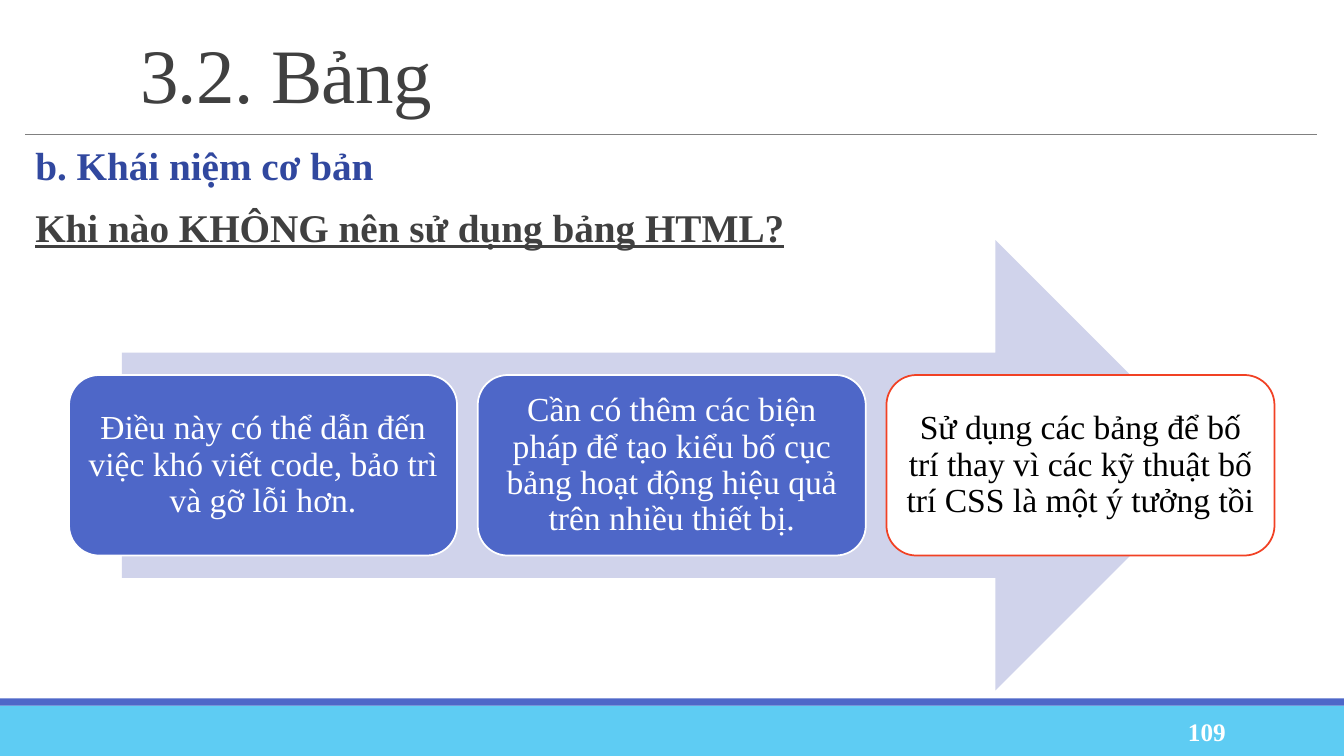
from dataclasses import dataclass

from lxml.etree import SubElement
from pptx import Presentation
from pptx.dml.color import RGBColor as Rgb
from pptx.enum.shapes import MSO_CONNECTOR as Link, MSO_SHAPE as Kind
from pptx.enum.text import MSO_ANCHOR as Anchor, MSO_AUTO_SIZE as Fit, PP_ALIGN as Align
from pptx.oxml.ns import qn
from pptx.util import Cm, Pt

FONT = "Times New Roman"
COLOR = {
    "blue": "4E67C8",
    "sky": "5ECCF3",
    "navy": "31489F",
    "pale": "D0D3EB",
    "dark": "404040",
    "gray": "808080",
    "red": "F14124",
    "white": "FFFFFF",
    "black": "000000",
}


@dataclass
class Box:
    left: float
    top: float
    width: float
    height: float

    def spots(self) -> list:
        return [Cm(n) for n in (self.left, self.top, self.width, self.height)]


@dataclass
class Card:
    text: str
    fill: str = "blue"
    edge: str = "white"
    ink: str = "white"


@dataclass
class Head:
    text: str
    ink: str
    before: float
    under: bool


CARDS = [
    Card("Điều này có thể dẫn đến việc khó viết code, bảo trì và gỡ lỗi hơn."),
    Card("Cần có thêm các biện pháp để tạo kiểu bố cục bảng hoạt động hiệu quả trên nhiều thiết bị."),
    Card("Sử dụng các bảng để bố trí thay vì các kỹ thuật bố trí CSS là một ý tưởng tồi",
         "white", "red", "black"),
]
HEADS = [
    Head("b. Khái niệm cơ bản", "navy", 0, False),
    Head("Khi nào KHÔNG nên sử dụng bảng HTML?", "dark", 12, True),
]
START, PITCH = 1.74, 10.3


def tint(name: str) -> Rgb:
    return Rgb.from_string(COLOR[name])


def style(para, size: float, ink: str, bold: bool = False) -> None:
    font = para.font
    font.name, font.size, font.bold = FONT, Pt(size), bold
    font.color.rgb = tint(ink)


def place(item, box: Box) -> None:
    item.left, item.top, item.width, item.height = box.spots()


def draw(slide, kind: Kind, box: Box, fill: str):
    shape = slide.shapes.add_shape(kind, *box.spots())
    shape.shadow.inherit = False
    shape.fill.solid()
    shape.fill.fore_color.rgb = tint(fill)
    shape.line.fill.background()
    return shape


def add_rule(slide) -> None:
    rule = slide.shapes.add_connector(Link.STRAIGHT, Cm(0.64), Cm(3.38), Cm(33.2), Cm(3.38))
    rule.line.color.rgb = tint("gray")
    rule.line.width = Pt(0.5)
    SubElement(rule._element.spPr, qn("a:effectLst"))


def add_title(slide) -> None:
    title = slide.shapes.title
    place(title, Box(3.28, 0.79, 29.92, 2.44))
    frame = title.text_frame
    frame.text = "3.2. Bảng"
    frame.auto_size = Fit.NONE
    frame.vertical_anchor = Anchor.MIDDLE
    para = frame.paragraphs[0]
    para.alignment = Align.LEFT
    para.line_spacing = 0.85
    style(para, 55, "dark")
    para.runs[0]._r.get_or_add_rPr().set("spc", "-50")


def add_body(slide) -> None:
    body = slide.placeholders[1]
    place(body, Box(0.64, 3.56, 32.56, 13.56))
    frame = body.text_frame
    frame.auto_size = Fit.NONE
    frame.margin_left = frame.margin_right = 0
    frame.text = "\n".join(head.text for head in HEADS)
    for para, head in zip(frame.paragraphs, HEADS):
        props = para._p.get_or_add_pPr()
        props.set("marL", str(Cm(0.25)))
        props.set("indent", "0")
        SubElement(props, qn("a:buNone"))
        para.alignment = Align.JUSTIFY
        para.line_spacing = 0.9
        para.space_before, para.space_after = Pt(head.before), Pt(2)
        style(para, 28, head.ink, True)
        para.font.underline = head.under


def add_card(slide, card: Card, left: float) -> None:
    shape = draw(slide, Kind.ROUNDED_RECTANGLE, Box(left, 9.45, 9.78, 4.55), card.fill)
    shape.line.color.rgb = tint(card.edge)
    shape.line.width = Pt(1.25)
    frame = shape.text_frame
    frame.word_wrap = True
    frame.vertical_anchor = Anchor.MIDDLE
    frame.margin_left = frame.margin_right = Cm(0.25)
    frame.margin_top = frame.margin_bottom = Cm(0.25)
    frame.text = card.text
    para = frame.paragraphs[0]
    para.alignment = Align.CENTER
    para.line_spacing = 0.9
    style(para, 24, card.ink)


def add_number(slide) -> None:
    frame = slide.shapes.add_textbox(*Box(27.51, 17.93, 3.63, 1.02).spots()).text_frame
    frame.word_wrap = True
    frame.vertical_anchor = Anchor.MIDDLE
    frame.text = "109"
    para = frame.paragraphs[0]
    para.alignment = Align.RIGHT
    style(para, 18, "white", True)


def main() -> None:
    deck = Presentation()
    deck.slide_width, deck.slide_height = Cm(33.87), Cm(19.05)
    slide = deck.slides.add_slide(deck.slide_layouts[1])
    draw(slide, Kind.RECTANGLE, Box(0, 17.78, 33.87, 1.27), "sky")
    draw(slide, Kind.RECTANGLE, Box(0, 17.6, 33.87, 0.18), "blue")
    add_rule(slide)
    add_title(slide)
    add_body(slide)
    add_number(slide)
    draw(slide, Kind.RIGHT_ARROW, Box(3.07, 6.05, 27.69, 11.35), "pale")
    for step, card in enumerate(CARDS):
        add_card(slide, card, START + step * PITCH)
    deck.save("out.pptx")


if __name__ == "__main__":
    main()
